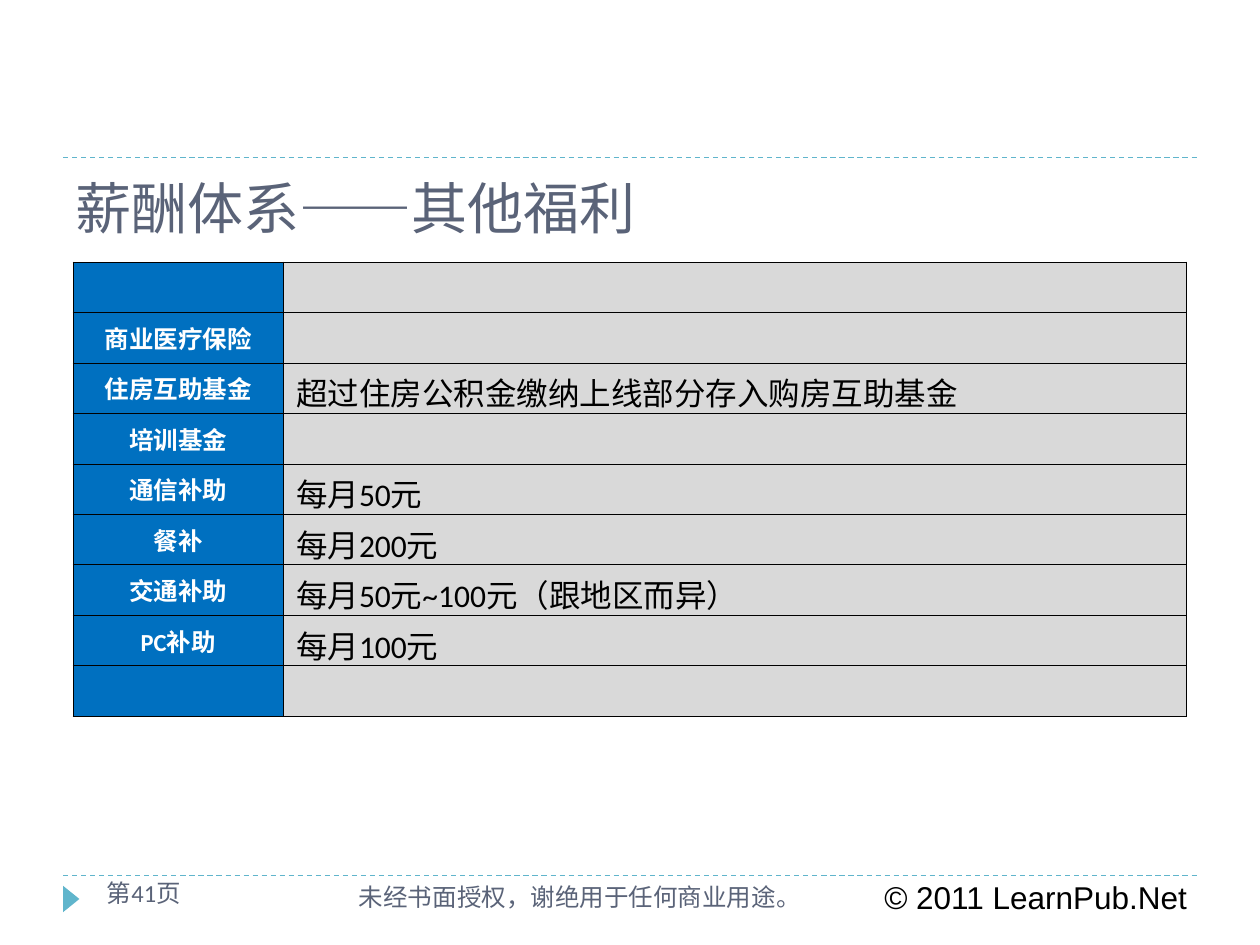
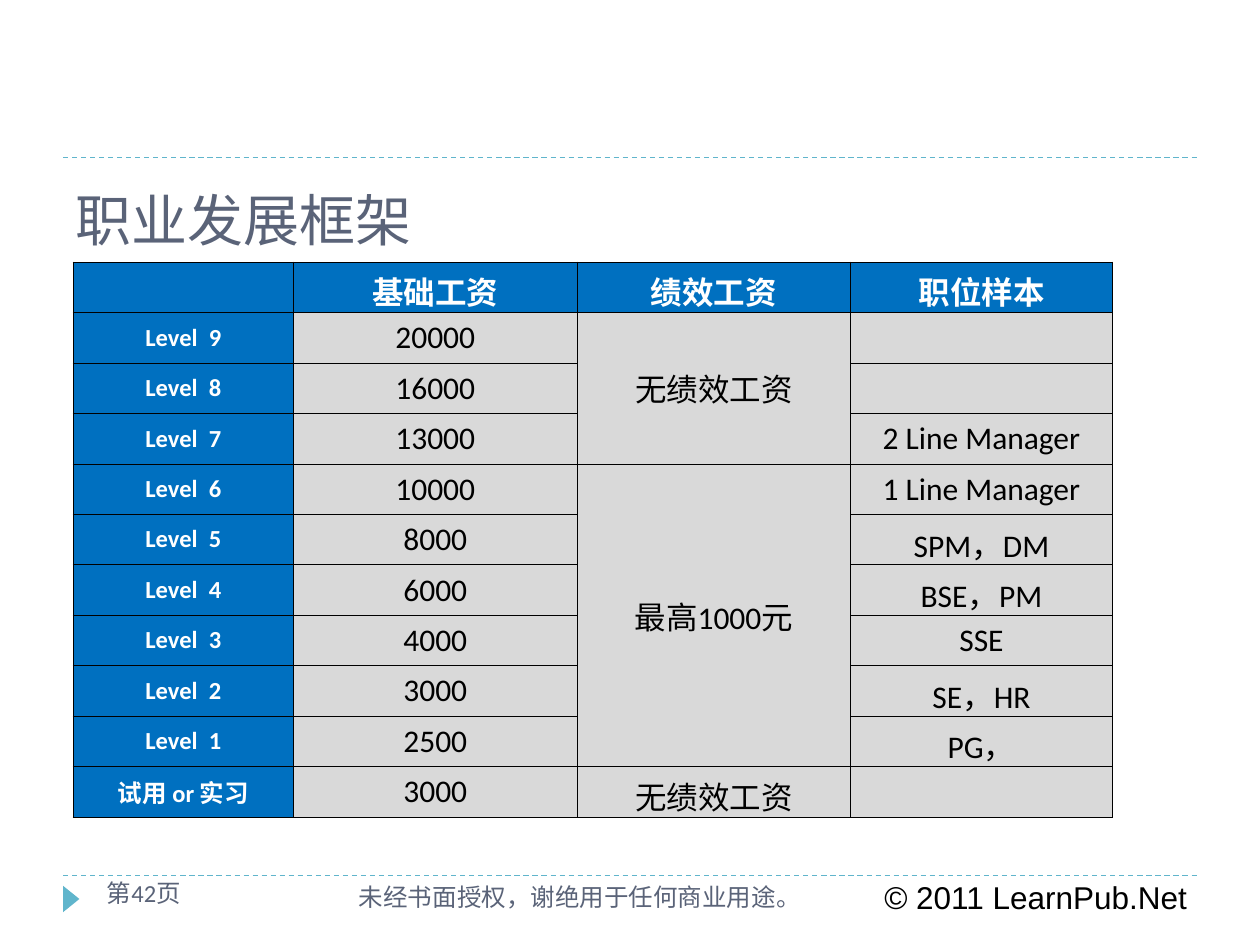
from lxml import etree
from pptx import Presentation
from pptx.dml.color import RGBColor
from pptx.enum.dml import MSO_LINE
from pptx.enum.shapes import MSO_CONNECTOR, MSO_SHAPE
from pptx.enum.text import MSO_ANCHOR, MSO_AUTO_SIZE, PP_ALIGN
from pptx.oxml.ns import qn
from pptx.util import Inches, Pt

# Shared look
TEAL = RGBColor(0x60, 0xB5, 0xCC)
SLATE = RGBColor(0x5A, 0x63, 0x78)
BLUE = RGBColor(0x00, 0x70, 0xC0)
GRAY = RGBColor(0xD9, 0xD9, 0xD9)
BLACK = RGBColor(0, 0, 0)
WHITE = RGBColor(0xFF, 0xFF, 0xFF)
TITLE_FONT, BODY_FONT, COPYRIGHT_FONT = "Roboto Slab", "Calibri", "Arial"
LEFT, CENTER = PP_ALIGN.LEFT, PP_ALIGN.CENTER
TOP, MIDDLE = MSO_ANCHOR.TOP, MSO_ANCHOR.MIDDLE
NO_FIT = MSO_AUTO_SIZE.NONE
DASH = MSO_LINE.DASH
STRAIGHT = MSO_CONNECTOR.STRAIGHT
TRIANGLE = MSO_SHAPE.ISOSCELES_TRIANGLE
TITLE_ONLY = 5
ROW_HEIGHT = 0.4
TABLE_LEFT, TABLE_TOP = 0.58, 2.08

# Slide content
BENEFITS = [
    ("", ""),
    ("商业医疗保险", ""),
    ("住房互助基金", "超过住房公积金缴纳上线部分存入购房互助基金"),
    ("培训基金", ""),
    ("通信补助", "每月50元"),
    ("餐补", "每月200元"),
    ("交通补助", "每月50元~100元（跟地区而异）"),
    ("PC补助", "每月100元"),
    ("", ""),
]
BASE_PAY = [20000, 16000, 13000, 10000, 8000, 6000, 4000, 3000, 2500]
BONUSES = {9: "无绩效工资", 6: "最高1000元"}
POSITIONS = ["", "", "2 Line Manager", "1 Line Manager", "SPM，DM", "BSE，PM",
             "SSE", "SE，HR", "PG，"]
CAREER = [
    ("", "基础工资", "绩效工资", "职位样本"),
    *((f"Level  {level}", str(pay), BONUSES.get(level, ""), position)
      for level, pay, position in zip(range(9, 0, -1), BASE_PAY, POSITIONS)),
    ("试用 or 实习", "3000", "无绩效工资", ""),
]
BONUS_COLUMN = 2
BONUS_MERGES = [(1, 3), (4, 9)]


def write(frame, text, size=18, font=BODY_FONT, color=BLACK, bold=False, align=LEFT):
    """Put one formatted line of text into a text frame."""
    para = frame.paragraphs[0]
    para.alignment = align
    span = para.add_run()
    span.text = text
    span.font.size = Pt(size)
    span.font.name = font
    span.font.color.rgb = color
    span.font.bold = bold


def add_label(page, box, text, **style):
    label = page.shapes.add_textbox(*map(Inches, box))
    label.text_frame.word_wrap = True
    write(label.text_frame, text, **style)


def add_rule(page, left, top, width):
    rule = page.shapes.add_connector(STRAIGHT, Inches(left), Inches(top),
                                     Inches(left + width), Inches(top))
    rule.line.color.rgb = TEAL
    rule.line.width = Pt(0.75)
    rule.line.dash_style = DASH
    etree.SubElement(rule.element.spPr, qn("a:effectLst"))


def add_footer(page, left, top, width, number):
    """Dashed rule, marker, page number, notice and copyright."""
    add_rule(page, left, top, width)
    marker = page.shapes.add_shape(TRIANGLE, Inches(left - 0.04), Inches(top + 0.12),
                                   Inches(0.21), Inches(0.13))
    marker.rotation = 90
    marker.shadow.inherit = False
    marker.fill.solid()
    marker.fill.fore_color.rgb = TEAL
    marker.line.fill.background()
    add_label(page, (left + 6.42, top - 0.03, 2.67, 0.4), "© 2011 LearnPub.Net",
              font=COPYRIGHT_FONT)
    add_label(page, (left + 2.25, top, 4, 0.4), "未经书面授权，谢绝用于任何商业用途。",
              size=14, color=SLATE)
    add_label(page, (left + 0.25, top - 0.03, 1.66, 0.4), f"第{number}页",
              size=14, color=SLATE)


def add_page(deck, number, title, title_top):
    page = deck.slides.add_slide(deck.slide_layouts[TITLE_ONLY])
    add_rule(page, 0.5, 1.25, 9)
    add_footer(page, 0.5, 6.95, 9, number)
    heading = page.shapes.title
    heading.left, heading.top = Inches(0.5), Inches(title_top)
    heading.width, heading.height = Inches(9), Inches(2 - title_top)
    frame = heading.text_frame
    frame.auto_size = NO_FIT
    frame.vertical_anchor = TOP
    write(frame, title, size=32, font=TITLE_FONT, color=SLATE)
    return page


def style_cell(cell, fill):
    """Thin black borders on all sides, then the fill."""
    properties = cell._tc.get_or_add_tcPr()
    for side in ("lnL", "lnR", "lnT", "lnB"):
        border = etree.SubElement(properties, qn(f"a:{side}"), w=str(Pt(0.45)))
        paint = etree.SubElement(border, qn("a:solidFill"))
        etree.SubElement(paint, qn("a:srgbClr"), val=str(BLACK))
    cell.fill.solid()
    cell.fill.fore_color.rgb = fill
    cell.vertical_anchor = MIDDLE


def add_grid(page, left, top, widths, rows, header=False, value_align=LEFT):
    """Table with a blue label column and, if asked, a blue header row."""
    grid = page.shapes.add_table(len(rows), len(widths), Inches(left), Inches(top),
                                 Inches(sum(widths)),
                                 Inches(ROW_HEIGHT * len(rows))).table
    grid.first_row = grid.horz_banding = False
    for column, width in zip(grid.columns, widths):
        column.width = Inches(width)
    for row_index, row in enumerate(rows):
        grid.rows[row_index].height = Inches(ROW_HEIGHT)
        for column_index, text in enumerate(row):
            is_label = column_index == 0
            is_blue = is_label or (header and row_index == 0)
            cell = grid.cell(row_index, column_index)
            style_cell(cell, BLUE if is_blue else GRAY)
            if text:
                write(cell.text_frame, text, size=14 if is_label else 18,
                      color=WHITE if is_blue else BLACK, bold=is_blue,
                      align=CENTER if is_blue else value_align)
    return grid


def build_benefits(deck):
    page = add_page(deck, 41, "薪酬体系——其他福利", 1.33)
    add_grid(page, TABLE_LEFT, TABLE_TOP, (1.67, 7.17), BENEFITS)


def build_career(deck):
    page = add_page(deck, 42, "职业发展框架", 1.42)
    grid = add_grid(page, TABLE_LEFT, TABLE_TOP, (1.75, 2.25, 2.17, 2.08), CAREER,
                    header=True, value_align=CENTER)
    for first, last in BONUS_MERGES:
        grid.cell(first, BONUS_COLUMN).merge(grid.cell(last, BONUS_COLUMN))


def main():
    deck = Presentation()
    deck.slide_width, deck.slide_height = Inches(10), Inches(7.5)
    build_benefits(deck)
    build_career(deck)
    deck.save("out.pptx")


if __name__ == "__main__":
    main()
